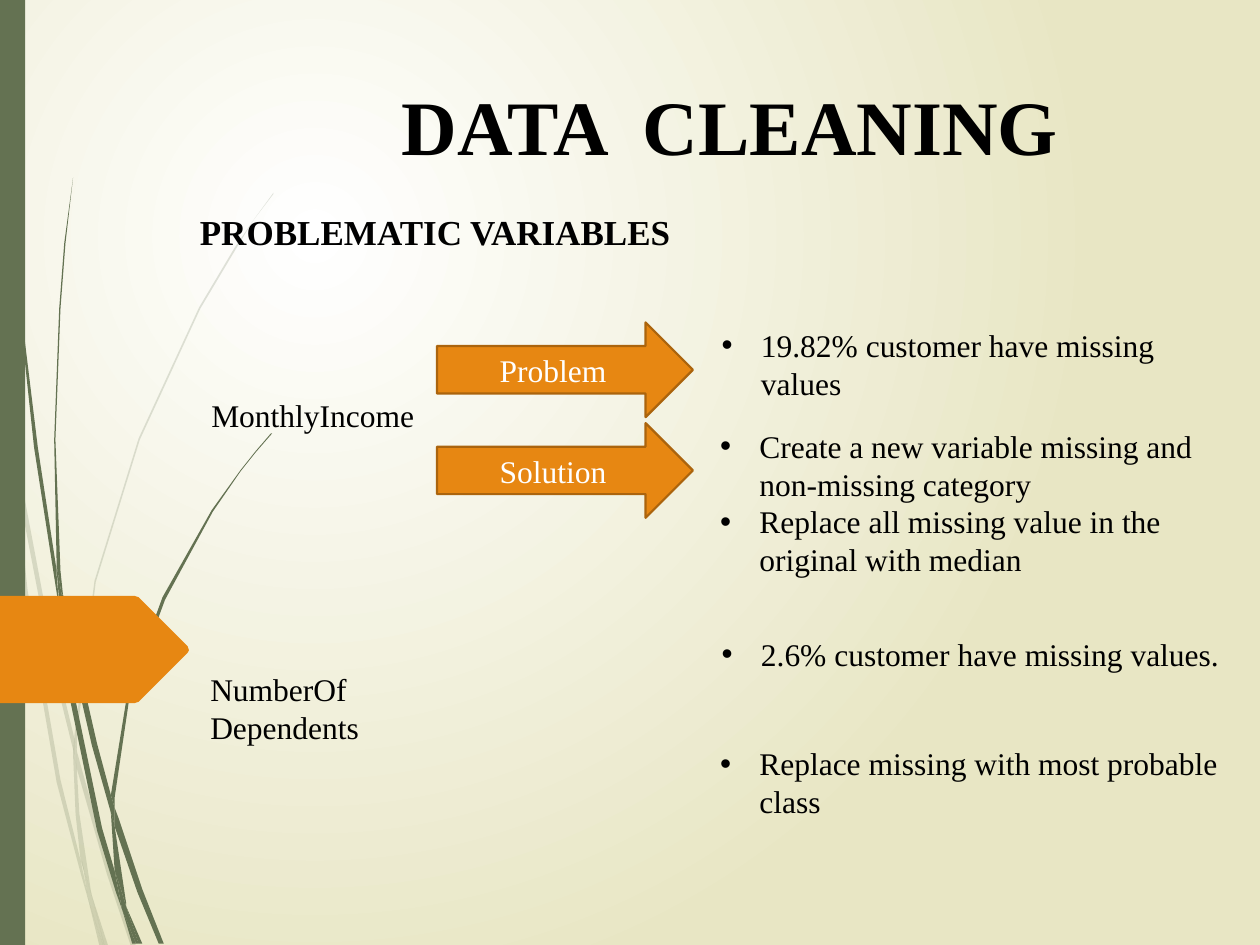
from dataclasses import dataclass

from lxml import etree
from pptx import Presentation
from pptx.dml.color import RGBColor
from pptx.enum.shapes import MSO_SHAPE
from pptx.enum.text import MSO_ANCHOR, MSO_AUTO_SIZE, PP_ALIGN
from pptx.oxml.ns import qn
from pptx.util import Cm, Pt

RECTANGLE = MSO_SHAPE.RECTANGLE
RIGHT_ARROW = MSO_SHAPE.RIGHT_ARROW
MIDDLE = MSO_ANCHOR.MIDDLE
BOTTOM = MSO_ANCHOR.BOTTOM
TOP = MSO_ANCHOR.TOP
CENTER = PP_ALIGN.CENTER
LEFT = PP_ALIGN.LEFT
FIT_SHAPE = MSO_AUTO_SIZE.SHAPE_TO_FIT_TEXT
NO_FIT = MSO_AUTO_SIZE.NONE


@dataclass(frozen=True)
class Theme:
    font: str = "Times New Roman"
    title: float = 44
    heading: float = 20
    body: float = 18
    ink: str = "000000"
    light: str = "FFFFFF"
    sand: str = "E8E6C4"
    moss: str = "647252"
    orange: str = "E78712"
    outline: str = "AB640D"
    pale_alpha: int = 20


@dataclass(frozen=True)
class Label:
    left: float
    top: float
    width: float
    height: float
    lines: tuple[str, ...]
    size: float
    bold: bool = False
    bulleted: bool = False
    align: PP_ALIGN = LEFT
    anchor: MSO_ANCHOR = TOP
    fit: MSO_AUTO_SIZE = FIT_SHAPE


THEME = Theme()
GRID = Cm(2.54) / 100
INDENT = Cm(0.79)
ARROW_PITCH = 2.03

PALE_WISPS = (
    ((8, 350), (6, 322), (0, 282), (0, 299), (7, 344)),
    ((40, 522), (59, 599), (59, 586), (43, 520), (10, 345), (12, 376)),
    ((64, 607), (61, 596), (61, 610), (85, 694), (104, 751), (108, 751), (88, 692)),
    ((83, 751), (86, 751), (73, 711)),
    ((64, 683), (48, 619), (22, 469), (12, 376), (8, 350), (19, 470), (45, 621),
     (64, 693), (70, 714), (69, 707)),
    ((58, 599), (60, 646), (64, 683), (67, 692), (73, 711), (72, 706), (63, 646),
     (61, 610), (61, 608)),
    ((61, 584), (76, 462), (111, 349), (159, 245), (187, 198), (201, 175),
     (217, 154), (217, 153), (201, 175), (186, 197), (158, 244), (110, 348),
     (75, 461), (59, 584), (59, 586), (61, 596)),
    ((70, 714), (79, 751), (82, 751)),
    ((61, 608), (61, 610), (61, 596), (59, 586), (58, 599)),
    ((67, 692), (65, 683), (69, 707), (70, 714), (82, 751), (83, 751), (73, 711)),
)
DARK_WISPS = (
    ((5, 110), (14, 233), (27, 355), (46, 477), (47, 481), (45, 457), (45, 453),
     (30, 355), (15, 232), (6, 109), (4, 48), (3, 0), (2, 0), (3, 48)),
    ((73, 592), (88, 645), (88, 633), (88, 631), (77, 590), (50, 472), (53, 505)),
    ((94, 649), (91, 641), (91, 656), (109, 708), (126, 749), (130, 749), (113, 706)),
    ((91, 691), (81, 657), (60, 556), (53, 505), (47, 477), (56, 557), (77, 659),
     (92, 708), (97, 722), (96, 717)),
    ((50, 472), (48, 453), (44, 349), (48, 245), (52, 193), (58, 141), (58, 141),
     (51, 193), (47, 245), (43, 349), (45, 449), (49, 472)),
    ((110, 749), (113, 749), (100, 719)),
    ((47, 477), (53, 505), (50, 472), (49, 472), (45, 449), (45, 453)),
    ((91, 633), (103, 552), (131, 476), (169, 406), (191, 374), (203, 359),
     (216, 344), (215, 344), (203, 358), (191, 373), (168, 405), (129, 474),
     (101, 551), (88, 631), (91, 641)),
    ((97, 722), (105, 749), (108, 749)),
    ((88, 645), (91, 691), (96, 706), (100, 719), (100, 716), (91, 656), (90, 651)),
    ((88, 645), (90, 651), (91, 656), (91, 641), (88, 631), (88, 633)),
    ((96, 706), (91, 691), (96, 717), (97, 722), (108, 749), (110, 749), (100, 719)),
)
SIDE_TAB = ((107, 558), (110, 557), (149, 518), (150, 516), (149, 513), (110, 474),
            (107, 473), (-3, 473), (-3, 558))

LABELS = (
    Label(4.24, 0.89, 20.96, 2.69, ("DATA  CLEANING",), THEME.title, bold=True,
          align=CENTER, anchor=BOTTOM, fit=NO_FIT),
    Label(3.78, 4.11, 13.23, 1.12, ("PROBLEMATIC VARIABLES",), THEME.heading, bold=True),
    Label(4.01, 7.85, 5, 1.02, ("MonthlyIncome",), THEME.body),
    Label(14.3, 6.45, 10.95, 2.57, ("19.82% customer have missing values",),
          THEME.body, bulleted=True),
    Label(14.27, 8.48, 10.64, 4.11,
          ("Create a new variable missing and non-missing category",
           "Replace all missing value in the original with median"),
          THEME.body, bulleted=True),
    Label(3.99, 13.39, 6.86, 2.57, ("NumberOf", "Dependents"), THEME.body),
    Label(14.3, 12.67, 10.64, 1.02, ("2.6% customer have missing values.",),
          THEME.body, bulleted=True),
    Label(14.27, 14.88, 10.95, 1.8, ("Replace missing with most probable class",),
          THEME.body, bulleted=True),
)


def color(value: str) -> RGBColor:
    return RGBColor.from_string(value)


def paint(shape, fill: str) -> None:
    shape.shadow.inherit = False
    shape.fill.solid()
    shape.fill.fore_color.rgb = color(fill)
    shape.line.fill.background()


def paint_background(slide) -> None:
    fill = slide.background.fill
    fill.gradient()
    for stop, value in zip(fill.gradient_stops, (THEME.light, THEME.sand)):
        stop.color.rgb = color(value)
    gradient = next(slide.element.iter(qn("a:gradFill")))
    gradient.remove(gradient.find(qn("a:lin")))
    circle = etree.SubElement(gradient, qn("a:path"), {"path": "circle"})
    etree.SubElement(circle, qn("a:fillToRect"),
                     {"l": "50000", "t": "50000", "r": "100000", "b": "100000"})


def add_outline(shapes, points: tuple[tuple[int, int], ...], fill: str):
    builder = shapes.build_freeform(*points[0], scale=GRID)
    builder.add_line_segments(points[1:], close=True)
    shape = builder.convert_to_shape()
    paint(shape, fill)
    return shape


def add_wisps(slide, wisps: tuple, alpha: int = 100) -> None:
    group = slide.shapes.add_group_shape()
    for points in wisps:
        shape = add_outline(group.shapes, points, THEME.moss)
        if alpha < 100:
            tint = next(shape.element.spPr.iter(qn("a:srgbClr")))
            etree.SubElement(tint, qn("a:alpha"), {"val": str(alpha * 1000)})


def add_text(paragraph, text: str, size: float, ink: str, bold: bool = False) -> None:
    run = paragraph.add_run()
    run.text = text
    run.font.name = THEME.font
    run.font.size = Pt(size)
    run.font.bold = bold
    run.font.color.rgb = color(ink)


def add_bullet(paragraph) -> None:
    properties = paragraph._p.get_or_add_pPr()
    properties.set("marL", str(INDENT))
    properties.set("indent", str(-INDENT))
    etree.SubElement(properties, qn("a:buFont"), {"typeface": "Arial"})
    etree.SubElement(properties, qn("a:buChar"), {"char": "•"})


def add_label(slide, label: Label) -> None:
    box = slide.shapes.add_textbox(Cm(label.left), Cm(label.top),
                                   Cm(label.width), Cm(label.height))
    frame = box.text_frame
    frame.word_wrap = True
    frame.auto_size = label.fit
    frame.vertical_anchor = label.anchor
    for index, line in enumerate(label.lines):
        paragraph = frame.add_paragraph() if index else frame.paragraphs[0]
        paragraph.alignment = label.align
        if label.bulleted:
            add_bullet(paragraph)
        add_text(paragraph, line, label.size, THEME.ink, label.bold)


def add_arrow(slide, row: int, text: str) -> None:
    shape = slide.shapes.add_shape(RIGHT_ARROW, Cm(8.81), Cm(6.5 + row * ARROW_PITCH),
                                   Cm(5.16), Cm(1.91))
    paint(shape, THEME.orange)
    shape.line.color.rgb = color(THEME.outline)
    shape.line.width = Pt(1.25)
    shape.text_frame.vertical_anchor = MIDDLE
    paragraph = shape.text_frame.paragraphs[0]
    paragraph.alignment = CENTER
    add_text(paragraph, text, THEME.body, THEME.light)


def main() -> None:
    presentation = Presentation()
    presentation.slide_width, presentation.slide_height = Cm(25.4), Cm(19.05)
    slide = presentation.slides.add_slide(presentation.slide_layouts[6])
    paint_background(slide)
    add_wisps(slide, PALE_WISPS, THEME.pale_alpha)
    add_wisps(slide, DARK_WISPS)
    paint(slide.shapes.add_shape(RECTANGLE, 0, 0, Cm(0.51), Cm(19.05)), THEME.moss)
    add_outline(slide.shapes, SIDE_TAB, THEME.orange)
    for label in LABELS:
        add_label(slide, label)
    for row, text in enumerate(("Problem", "Solution")):
        add_arrow(slide, row, text)
    presentation.save("out.pptx")


if __name__ == "__main__":
    main()
